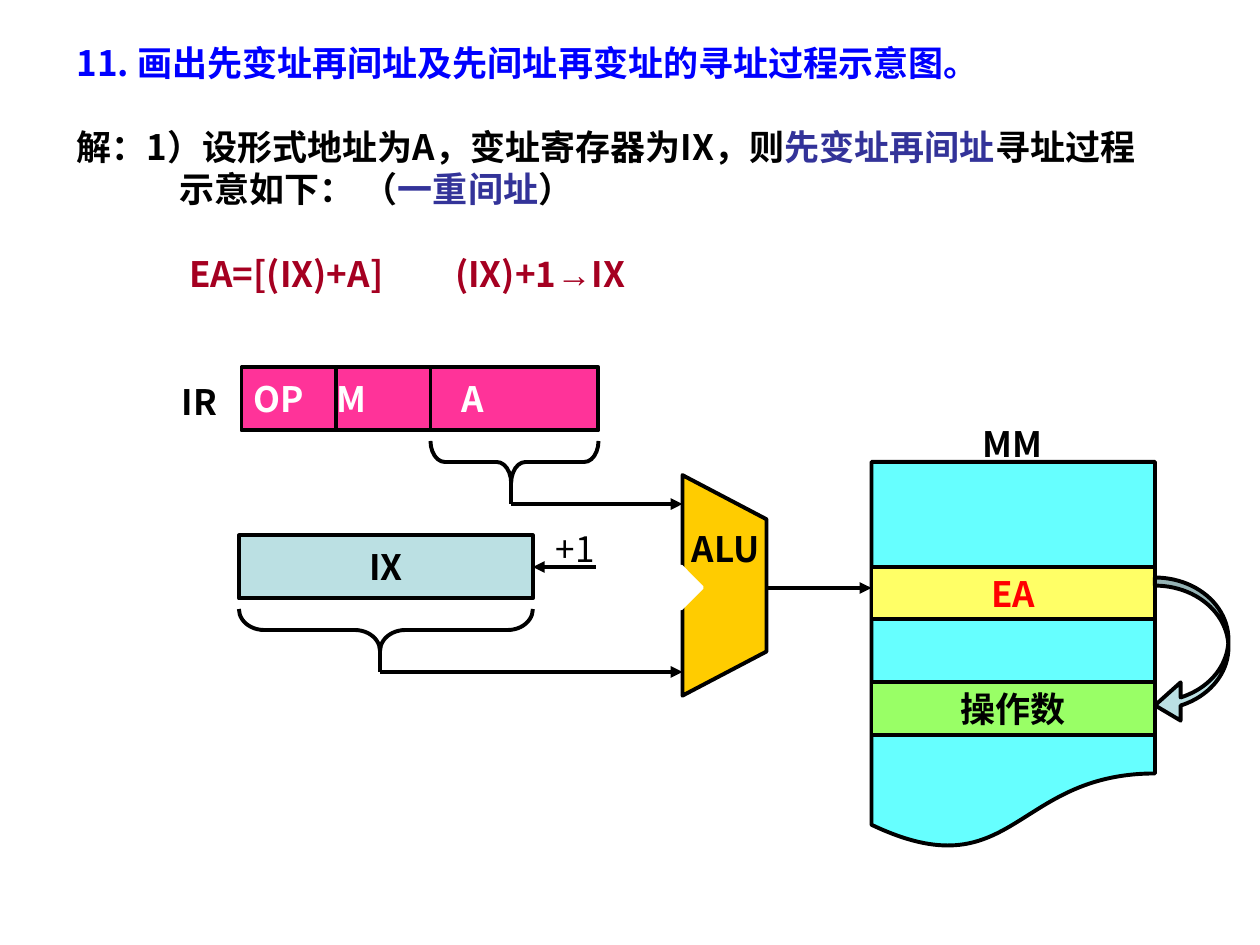
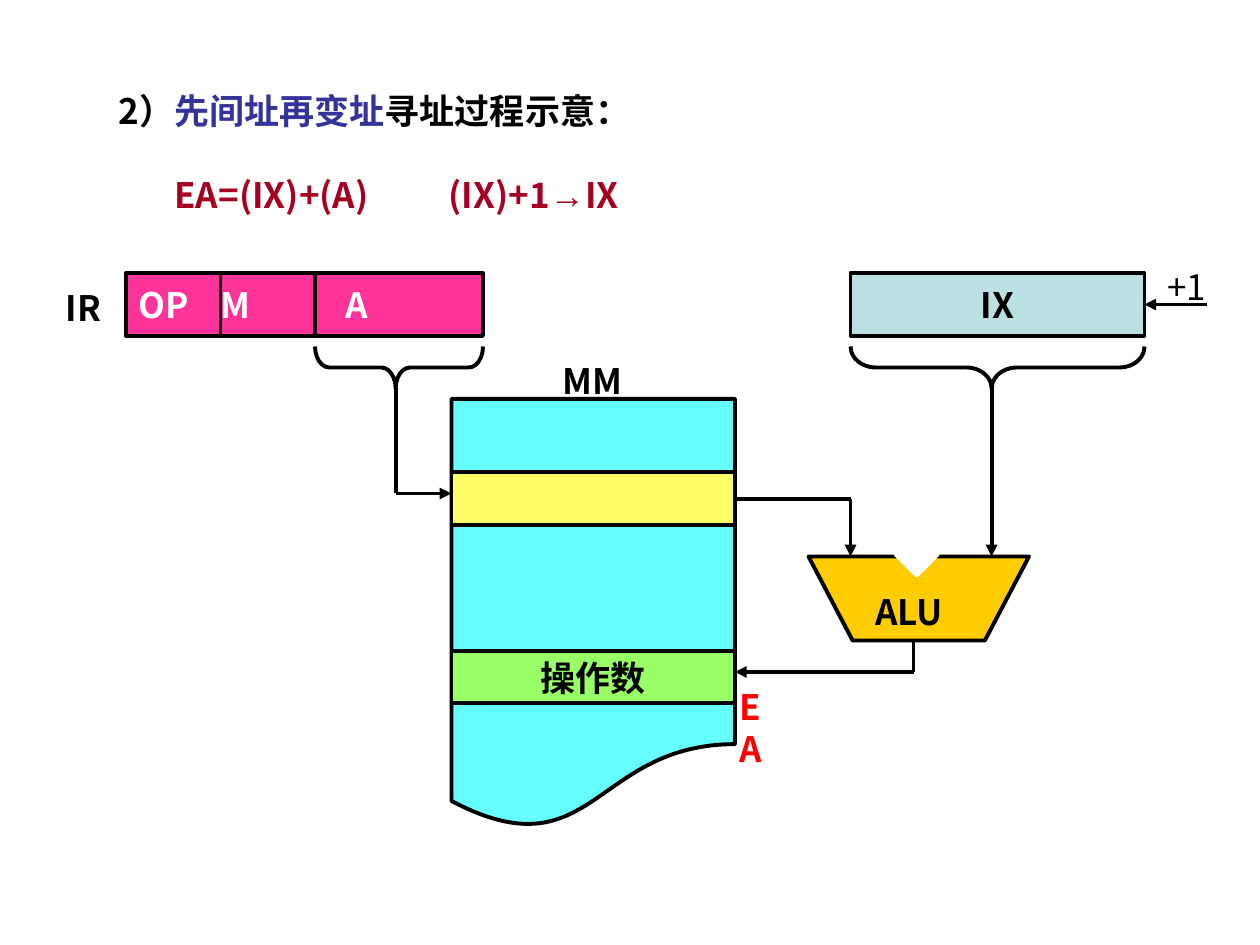
import lxml.etree
import pptx
import pptx.dml.color
import pptx.enum.shapes
import pptx.enum.text
import pptx.oxml.ns
import pptx.util

RGBColor = pptx.dml.color.RGBColor
SHAPE = pptx.enum.shapes.MSO_SHAPE
ALIGN = pptx.enum.text.PP_ALIGN
ANCHOR = pptx.enum.text.MSO_ANCHOR
qn = pptx.oxml.ns.qn

BLACK = RGBColor(0, 0, 0)
WHITE = RGBColor(255, 255, 255)
QUESTION_BLUE = RGBColor(0, 0, 255)
TERM_INDIGO = RGBColor(0x33, 0x33, 0x99)
FORMULA_RED = RGBColor(0xA5, 0x00, 0x21)
ADDRESS_RED = RGBColor(255, 0, 0)
INSTRUCTION_PINK = RGBColor(0xFF, 0x33, 0x99)
INDEX_TEAL = RGBColor(0xBB, 0xE0, 0xE3)
ALU_GOLD = RGBColor(0xFF, 0xCC, 0x00)
MEMORY_CYAN = RGBColor(0x66, 0xFF, 0xFF)
ADDRESS_YELLOW = RGBColor(0xFF, 0xFF, 0x66)
OPERAND_GREEN = RGBColor(0x99, 0xFF, 0x66)

FONT = "Noto Sans CJK SC"
ARROW_FONT = "Arial"
TEXT_SIZE = pptx.util.Pt(20)
LINE_PITCH = pptx.util.Pt(24)
STROKE = pptx.util.Pt(2.25)

SLIDE_WIDTH = pptx.util.Inches(10)
SLIDE_HEIGHT = pptx.util.Inches(7.5)
COLUMNS = 120
REGISTER_HEIGHT = 6
IR_WIDTH = 34
IR_FIELDS = (9, 18)
IX_WIDTH = 28
BRACE_DROP = 7
BRACE_HEIGHT = 4
BRACE_TIP = 0.52
MEMORY_WIDTH = 27
CELL_HEIGHT = 5


def grid(cells):
    return round(SLIDE_WIDTH * cells / COLUMNS)


def format_paragraph(paragraph, indent=0, align=ALIGN.LEFT):
    properties = paragraph._p.get_or_add_pPr()
    properties.set("marL", "0")
    properties.set("indent", str(grid(indent)))
    paragraph.alignment = align
    paragraph.line_spacing = LINE_PITCH


def add_pieces(paragraph, pieces, bold=True):
    for text, color, *spacing in pieces:
        run = paragraph.add_run()
        run.text = text
        font = ARROW_FONT if text == "→" else FONT
        run.font.size = TEXT_SIZE
        run.font.bold = bold
        run.font.color.rgb = color
        run.font.name = font
        properties = run._r.get_or_add_rPr()
        lxml.etree.SubElement(properties, qn("a:ea")).set("typeface", font)
        if spacing:
            properties.set("spc", str(round(spacing[0] * 100)))


def write(shape, pieces, bold=True, align=ALIGN.LEFT):
    paragraph = shape.text_frame.paragraphs[0]
    format_paragraph(paragraph, align=align)
    add_pieces(paragraph, pieces, bold)


def add_label(slide, text, x, y, width, color=BLACK, bold=True, wrap=False):
    label = slide.shapes.add_textbox(grid(x), grid(y), grid(width), grid(5.3))
    label.text_frame.word_wrap = wrap
    write(label, [(text, color)], bold)


def add_part(slide, kind, x, y, width, height, fill, line=BLACK):
    part = slide.shapes.add_shape(kind, grid(x), grid(y), grid(width), grid(height))
    part.shadow.inherit = False
    part.fill.solid()
    part.fill.fore_color.rgb = fill
    part.line.color.rgb = line
    part.line.width = STROKE
    part.text_frame.vertical_anchor = ANCHOR.MIDDLE
    return part


def add_route(slide, points, arrow=True, start=None, end=None):
    for begin, finish in zip(points, points[1:]):
        segment = slide.shapes.add_connector(
            pptx.enum.shapes.MSO_CONNECTOR.STRAIGHT, *map(grid, begin + finish))
        segment.line.color.rgb = BLACK
        segment.line.width = STROKE
        lxml.etree.SubElement(segment._element.spPr, qn("a:effectLst"))
        if start and begin == points[0]:
            segment.begin_connect(*start)
        if end and finish == points[-1]:
            segment.end_connect(*end)
    if arrow:
        head = lxml.etree.SubElement(segment.line._get_or_add_ln(), qn("a:tailEnd"))
        head.set("type", "triangle")


def add_brace(slide, x, y, width, curl):
    left = x + (width - BRACE_HEIGHT) / 2
    top = y + (BRACE_HEIGHT - width) / 2
    brace = add_part(slide, SHAPE.RIGHT_BRACE, left, top, BRACE_HEIGHT, width, WHITE)
    brace.fill.background()
    brace.rotation = 90
    brace.adjustments[0] = curl
    brace.adjustments[1] = BRACE_TIP
    return x + width * (1 - BRACE_TIP), y + BRACE_HEIGHT


def add_title(slide, x, y, width, height, lines):
    title = slide.shapes.title
    title.left, title.top, title.width, title.height = map(grid, (x, y, width, height))
    frame = title.text_frame
    frame.auto_size = pptx.enum.text.MSO_AUTO_SIZE.NONE
    frame.vertical_anchor = ANCHOR.MIDDLE
    frame.word_wrap = True
    for number, (indent, gap, pieces) in enumerate(lines):
        paragraph = frame.add_paragraph() if number else frame.paragraphs[0]
        format_paragraph(paragraph, indent)
        paragraph.space_before = LINE_PITCH if gap else 0
        add_pieces(paragraph, pieces)


def formula(address, spacing):
    return [(address, FORMULA_RED), (" ", FORMULA_RED, spacing), ("(IX)+1", FORMULA_RED),
            ("→", FORMULA_RED), ("IX", FORMULA_RED)]


def add_instruction_register(slide, x, y):
    register = add_part(slide, SHAPE.RECTANGLE, x, y, IR_WIDTH, REGISTER_HEIGHT, INSTRUCTION_PINK)
    write(register, [("OP", WHITE), (" ", WHITE, 13.6), ("M", WHITE),
                     (" ", WHITE, 50), ("A", WHITE)])
    for field in IR_FIELDS:
        add_route(slide, [(x + field, y), (x + field, y + REGISTER_HEIGHT)], arrow=False)
    add_label(slide, "IR", x - 6.9, y + 0.65, 5.9)
    address = IR_FIELDS[-1]
    return add_brace(slide, x + address, y + BRACE_DROP, IR_WIDTH - address, 0.34)


def add_index_register(slide, x, y):
    register = add_part(slide, SHAPE.RECTANGLE, x, y, IX_WIDTH, REGISTER_HEIGHT, INDEX_TEAL)
    write(register, [("IX", BLACK)], align=ALIGN.CENTER)
    middle = y + REGISTER_HEIGHT / 2
    add_route(slide, [(x + IX_WIDTH + 6, middle), (x + IX_WIDTH, middle)], end=(register, 3))
    add_label(slide, "+1", x + 29, y - 1.35, 6.2, bold=False)
    return add_brace(slide, x, y + BRACE_DROP, IX_WIDTH, 0.6)


def add_alu(slide, center_x, center_y, rotation, label_x, label_y):
    notch_x, notch_y = (-3.15, 0.2) if rotation else (-0.2, -3.2)
    for kind, x, y, width, height, color, line in (
        (SHAPE.FLOWCHART_MANUAL_OPERATION, 0, 0, 21, 8, ALU_GOLD, BLACK),
        (SHAPE.FLOWCHART_MERGE, notch_x, notch_y, 4, 2, WHITE, WHITE),
    ):
        part = add_part(slide, kind, center_x + x - width / 2, center_y + y - height / 2,
                        width, height, color, line)
        part.rotation = rotation
    add_label(slide, "ALU", center_x + label_x, center_y + label_y, 9.1)


def add_memory(slide, x, y, height, address_row, operand_row, address_text=""):
    add_part(slide, SHAPE.FLOWCHART_DOCUMENT, x, y, MEMORY_WIDTH, height, MEMORY_CYAN)
    address, operand = (
        add_part(slide, SHAPE.RECTANGLE, x, y + row, MEMORY_WIDTH, CELL_HEIGHT, fill)
        for row, fill in ((address_row, ADDRESS_YELLOW), (operand_row, OPERAND_GREEN)))
    if address_text:
        write(address, [(address_text, ADDRESS_RED)], align=ALIGN.CENTER)
    write(operand, [("操作数", BLACK)], align=ALIGN.CENTER)
    add_label(slide, "MM", x + 9.4, y - 4.35, 8.6)
    return address


def build_index_first(slide):
    add_title(slide, 0, 0, 112, 32, [
        (6.1, False, [("11. 画出先变址再间址及先间址再变址的寻址过程示意图。", QUESTION_BLUE)]),
        (6.1, True, [("解：1）设形式地址为A，变址寄存器为IX，则", BLACK),
                     ("先变址再间址", TERM_INDIGO), ("寻址过程", BLACK)]),
        (15.9, False, [("示意如下： （", BLACK), ("一重间址", TERM_INDIGO), ("）", BLACK)]),
        (16.8, True, formula("EA=[(IX)+A]", 36.4)),
    ])
    ir_x, ir_y = add_instruction_register(slide, 23, 35)
    ix_x, ix_y = add_index_register(slide, 22.75, 51)
    add_alu(slide, 69, 55.75, 270, -4.3, -6.1)
    add_memory(slide, 83, 44, 37, 10, 21, "EA")
    for x, y in ((ir_x, ir_y), (ix_x, ix_y)):
        add_route(slide, [(x, y), (x, y + 2), (65, y + 2)])
    add_route(slide, [(73, 56), (83, 56)])
    indirection = add_part(slide, SHAPE.CURVED_LEFT_ARROW, 110, 55, 7, 14, INDEX_TEAL)
    for index, share in enumerate((0.11, 0.52, 0.35)):
        indirection.adjustments[index] = share


def build_indirect_first(slide):
    add_title(slide, 4, 5, 111, 19, [
        (6.1, False, [("2）", BLACK), ("先间址再变址", TERM_INDIGO), ("寻址过程示意：", BLACK)]),
        (11.4, True, formula("EA=(IX)+(A)", 41)),
    ])
    address = add_memory(slide, 43, 38, 41, 7, 24)
    ir_x, ir_y = add_instruction_register(slide, 12, 26)
    ix_x, ix_y = add_index_register(slide, 81, 26)
    add_alu(slide, 87.5, 57, 0, -5.3, -1.35)
    add_route(slide, [(ir_x, ir_y), (ir_x, 47), (43, 47)])
    add_route(slide, [(70, 47.5), (81, 47.5), (81, 53)], start=(address, 3))
    add_route(slide, [(ix_x, ix_y), (ix_x, 53)])
    add_route(slide, [(87, 61), (87, 64), (70, 64)])
    add_label(slide, "EA", 69.25, 64.7, 5.2, ADDRESS_RED, wrap=True)


def main():
    presentation = pptx.Presentation()
    presentation.slide_width = SLIDE_WIDTH
    presentation.slide_height = SLIDE_HEIGHT
    for build in (build_index_first, build_indirect_first):
        build(presentation.slides.add_slide(presentation.slide_layouts[5]))
    presentation.save("out.pptx")


if __name__ == "__main__":
    main()
